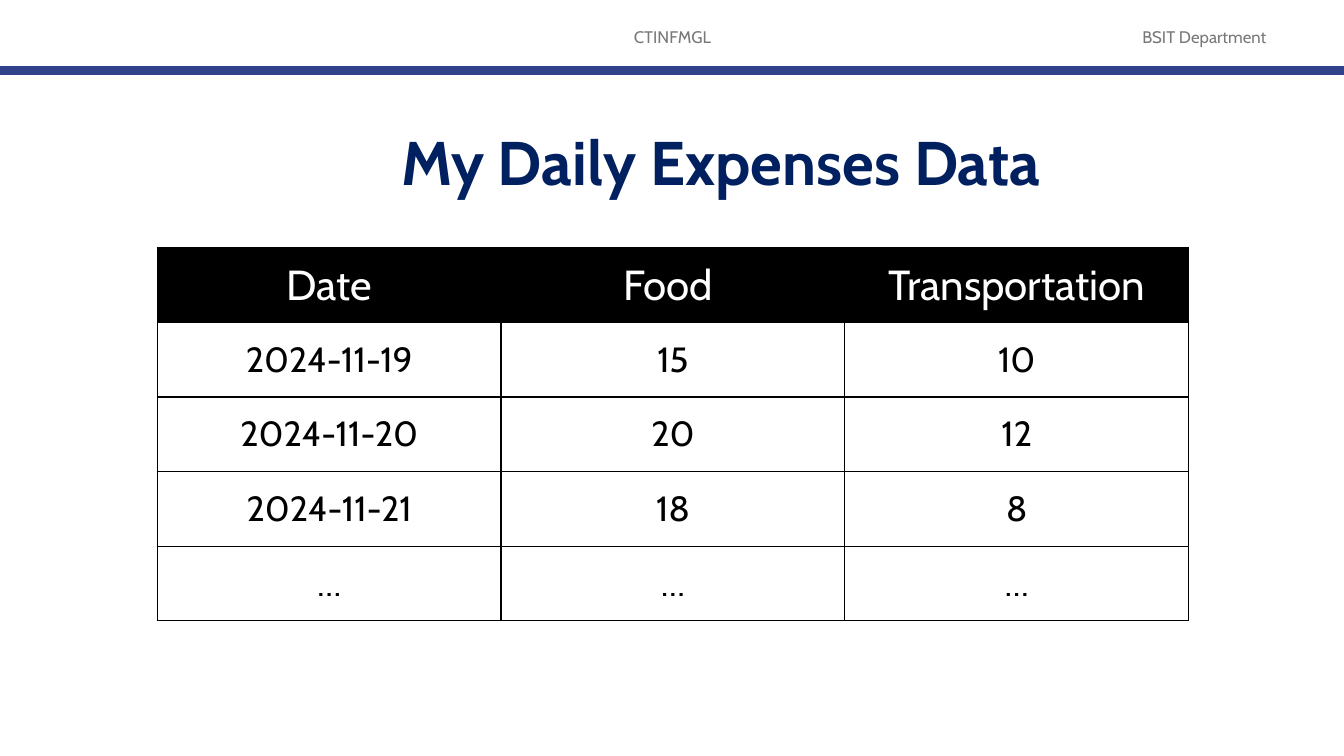
from lxml import etree
from pptx import Presentation
from pptx.dml.color import RGBColor
from pptx.enum.shapes import MSO_CONNECTOR
from pptx.enum.text import MSO_ANCHOR, MSO_AUTO_SIZE, PP_ALIGN
from pptx.oxml import parse_xml
from pptx.oxml.ns import nsdecls, qn
from pptx.util import Inches, Pt

STRAIGHT = MSO_CONNECTOR.STRAIGHT
TOP, MIDDLE = MSO_ANCHOR.TOP, MSO_ANCHOR.MIDDLE
CENTER = PP_ALIGN.CENTER
NO_AUTOFIT = MSO_AUTO_SIZE.NONE

BLACK = RGBColor(0x00, 0x00, 0x00)
WHITE = RGBColor(0xFF, 0xFF, 0xFF)
GREY = RGBColor(0x79, 0x79, 0x79)
NAVY = RGBColor(0x00, 0x20, 0x60)
RULE_BLUE = RGBColor(0x32, 0x41, 0x8C)

FONT = "Cabin"
SLIDE_W, SLIDE_H = Inches(13.33), Inches(7.5)
TITLE_ONLY = 5

# Table grid
COLUMN_W, ROW_H = Inches(3.41), Inches(0.74)
EXPENSES = [
    ("Date", "Food ", "Transportation"),
    ("2024-11-19", "15", "10"),
    ("2024-11-20", "20", "12"),
    ("2024-11-21", "18", "8"),
    ("…", "…", "…"),
]


def write(frame, text, size, color, bold=False):
    """Put one centred line of text in a frame."""
    frame.text = text
    line = frame.paragraphs[0]
    line.alignment = CENTER
    line.font.name = FONT
    line.font.size = Pt(size)
    line.font.bold = bold
    line.font.color.rgb = color
    return line


def add_header_label(slide, text, left, width):
    label = slide.shapes.add_textbox(left, Inches(0.17), width, Inches(0.4))
    frame = label.text_frame
    frame.word_wrap = True
    frame.vertical_anchor = MIDDLE
    write(frame, text, 12, GREY)


def add_header_rule(slide):
    y = Inches(0.7)
    rule = slide.shapes.add_connector(STRAIGHT, 0, y, SLIDE_W, y)
    rule.line.color.rgb = RULE_BLUE
    rule.line.width = Pt(6)
    etree.SubElement(rule._element.spPr, qn("a:effectLst"))


def set_title(slide, text):
    title = slide.shapes.title
    title.left, title.top = Inches(3.62), Inches(1.26)
    title.width, title.height = Inches(7.06), Inches(0.66)
    frame = title.text_frame
    frame.word_wrap = True
    frame.auto_size = NO_AUTOFIT
    frame.vertical_anchor = TOP
    write(frame, text, 44, NAVY, bold=True).line_spacing = 0.9


def add_borders(cell):
    properties = cell._tc.get_or_add_tcPr()
    for position, side in enumerate(("lnL", "lnR", "lnT", "lnB")):
        border = parse_xml(
            f'<a:{side} {nsdecls("a")} w="{Pt(1)}"><a:solidFill>'
            f'<a:srgbClr val="{BLACK}"/></a:solidFill></a:{side}>')
        properties.insert(position, border)


def add_expenses_table(slide, rows):
    row_count, column_count = len(rows), len(rows[0])
    frame = slide.shapes.add_table(
        row_count, column_count, Inches(1.56), Inches(2.46),
        COLUMN_W * column_count, ROW_H * row_count)
    table = frame.table
    table.horz_banding = False
    for r, values in enumerate(rows):
        for c, value in enumerate(values):
            cell = table.cell(r, c)
            cell.vertical_anchor = MIDDLE
            if r == 0:
                cell.fill.solid()
                cell.fill.fore_color.rgb = BLACK
                write(cell.text_frame, value, 30, WHITE)
            else:
                cell.fill.background()
                write(cell.text_frame, value, 25, BLACK)
            add_borders(cell)


def main():
    deck = Presentation()
    deck.slide_width, deck.slide_height = SLIDE_W, SLIDE_H
    slide = deck.slides.add_slide(deck.slide_layouts[TITLE_ONLY])

    # Page header
    add_header_label(slide, "CTINFMGL", Inches(4.42), Inches(4.5))
    add_header_label(slide, "BSIT Department", Inches(10.92), Inches(2.05))
    add_header_rule(slide)

    # Content
    set_title(slide, "My Daily Expenses Data")
    add_expenses_table(slide, EXPENSES)

    deck.save("out.pptx")


if __name__ == "__main__":
    main()
